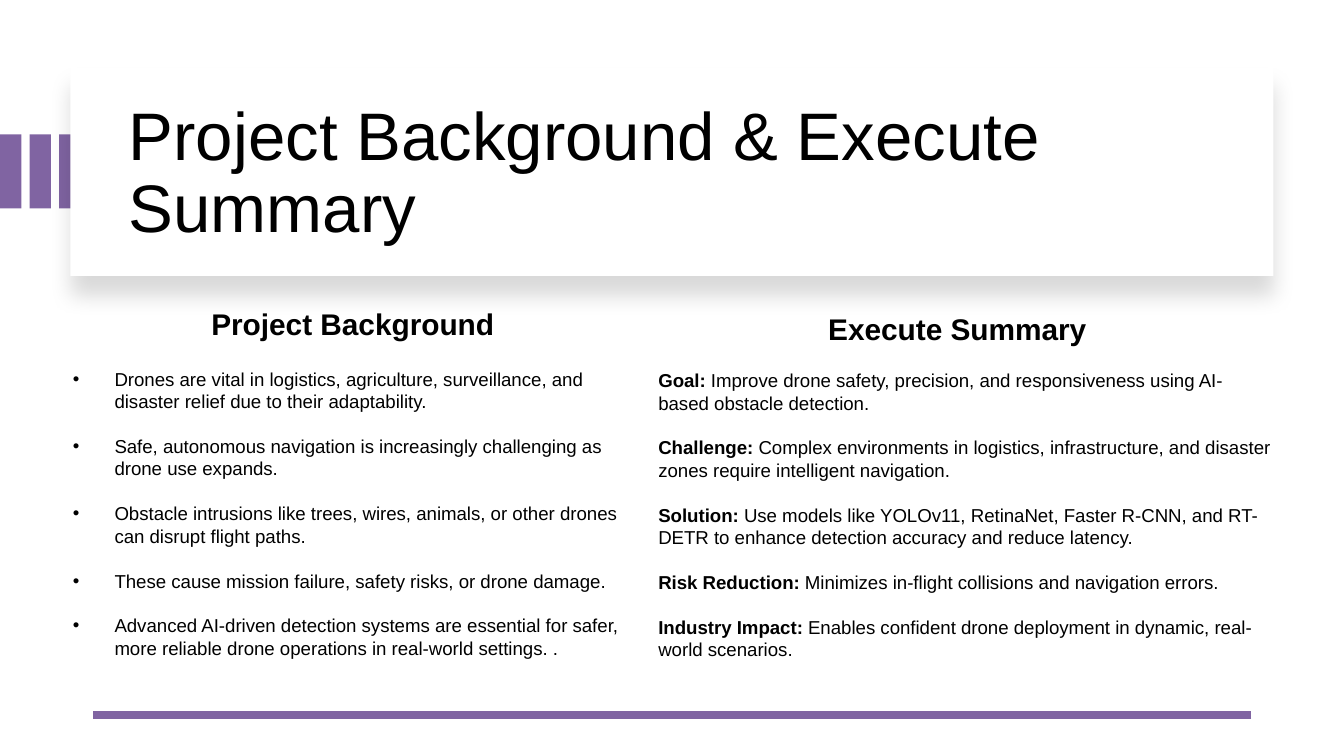
from dataclasses import dataclass
from lxml.etree import SubElement
from pptx import Presentation
from pptx.dml.color import RGBColor
from pptx.enum.shapes import MSO_CONNECTOR, MSO_SHAPE
from pptx.enum.text import MSO_ANCHOR, MSO_AUTO_SIZE
from pptx.oxml.ns import qn
from pptx.util import Inches, Pt


@dataclass(frozen=True)
class Theme:
    font: str = "Arial"
    ink: str = "000000"
    paper: str = "FFFFFF"
    accent: str = "8064A2"
    title: int = 36
    head: int = 16
    body: int = 10
    gap: int = 12
    rule: float = 4.5
    indent: float = 0.31


class Deck:
    cols, rows = 100, 56.25

    def __init__(self, theme):
        self.theme = theme
        self.prs = Presentation()
        self.prs.slide_width = Inches(10)
        self.prs.slide_height = Inches(10) * 9 // 16
        self.slide = self.prs.slides.add_slide(self.prs.slide_layouts[6])

    def spot(self, col, row):
        return (round(self.prs.slide_width * col / self.cols),
                round(self.prs.slide_height * row / self.rows))

    def area(self, col, row, wide, high):
        return *self.spot(col, row), *self.spot(wide, high)

    def block(self, area, color, home=None):
        home = home or self.slide
        shape = home.shapes.add_shape(MSO_SHAPE.RECTANGLE, *self.area(*area))
        shape.shadow.inherit = False
        shape.fill.solid()
        shape.fill.fore_color.rgb = RGBColor.from_string(color)
        shape.line.fill.background()
        return shape

    def stripes(self, area, step, count):
        group = self.slide.shapes.add_group_shape()
        col, *rest = area
        for i in range(count):
            self.block((col + i * step, *rest), self.theme.accent, group)

    def card(self, area):
        shape = self.block(area, self.theme.paper)
        effects = shape._element.spPr.find(qn("a:effectLst"))
        shade = SubElement(effects, qn("a:outerShdw"), blurRad=str(Pt(11)),
                           dist=str(Pt(10)), dir="5400000", algn="t", rotWithShape="0")
        color = SubElement(shade, qn("a:srgbClr"), val=self.theme.ink)
        SubElement(color, qn("a:alpha"), val="15000")

    def rule(self, start, end):
        line = self.slide.shapes.add_connector(
            MSO_CONNECTOR.STRAIGHT, *self.spot(*start), *self.spot(*end))
        line.line.color.rgb = RGBColor.from_string(self.theme.accent)
        line.line.width = Pt(self.theme.rule)
        SubElement(line._element.spPr, qn("a:effectLst"))

    def bullet(self, para):
        props = para._p.get_or_add_pPr()
        inset = Inches(self.theme.indent)
        props.set("marL", str(inset))
        props.set("indent", str(-inset))
        color = SubElement(props, qn("a:buClr"))
        SubElement(color, qn("a:srgbClr"), val=self.theme.ink)
        SubElement(props, qn("a:buFont"), typeface=self.theme.font)
        SubElement(props, qn("a:buChar"), char="•")

    def text(self, area, paras, size, middle=True, bullets=False, space=None):
        box = self.slide.shapes.add_textbox(*self.area(*area))
        frame = box.text_frame
        frame.word_wrap = True
        frame.auto_size = MSO_AUTO_SIZE.NONE if middle else MSO_AUTO_SIZE.SHAPE_TO_FIT_TEXT
        frame.vertical_anchor = MSO_ANCHOR.MIDDLE if middle else MSO_ANCHOR.TOP
        for i, runs in enumerate(paras):
            para = frame.add_paragraph() if i else frame.paragraphs[0]
            if space:
                para.line_spacing = space
            if i:
                para.space_before = Pt(self.theme.gap)
            if bullets:
                self.bullet(para)
            for words, bold in runs:
                run = para.add_run()
                run.text = words
                run.font.name = self.theme.font
                run.font.size = Pt(size)
                run.font.bold = bold
                run.font.color.rgb = RGBColor.from_string(self.theme.ink)

    def title(self, area, words):
        self.text(area, [[(words, False)]], self.theme.title, space=0.9)

    def head(self, area, words):
        self.text(area, [[(words, True)]], self.theme.head, middle=False)

    def points(self, area, items):
        paras = [[(item, False)] for item in items]
        self.text(area, paras, self.theme.body, bullets=True)

    def terms(self, area, items):
        paras = [[(f"{term}: ", True), (words, False)] for term, words in items]
        self.text(area, paras, self.theme.body)


POINTS = [
    "Drones are vital in logistics, agriculture, surveillance, and disaster relief due to their adaptability.",
    "Safe, autonomous navigation is increasingly challenging as drone use expands.",
    "Obstacle intrusions like trees, wires, animals, or other drones can disrupt flight paths.",
    "These cause mission failure, safety risks, or drone damage.",
    "Advanced AI-driven detection systems are essential for safer, more reliable drone operations "
    "in real-world settings. .",
]
TERMS = [
    ("Goal", "Improve drone safety, precision, and responsiveness using AI-based obstacle detection."),
    ("Challenge", "Complex environments in logistics, infrastructure, and disaster zones "
                  "require intelligent navigation."),
    ("Solution", "Use models like YOLOv11, RetinaNet, Faster R-CNN, and RT-DETR to enhance "
                 "detection accuracy and reduce latency."),
    ("Risk Reduction", "Minimizes in-flight collisions and navigation errors."),
    ("Industry Impact", "Enables confident drone deployment in dynamic, real-world scenarios."),
]


def main():
    deck = Deck(Theme())
    deck.stripes((0, 10, 1.6, 5.5), step=2.2, count=3)
    deck.card((5.24, 5.04, 89.5, 15.5))
    deck.title((8.6, 6.65, 81.6, 12.7), "Project Background & Execute Summary")
    deck.points((4.44, 24.5, 43.4, 27.4), POINTS)
    deck.rule((93.1, 53.2), (6.9, 53.2))
    deck.terms((48, 24.6, 47.6, 27.4), TERMS)
    deck.head((14.74, 22.24, 23.9, 3.7), "Project Background")
    deck.head((60.64, 22.64, 22.3, 3.7), "Execute Summary")
    deck.prs.save("out.pptx")


if __name__ == "__main__":
    main()
